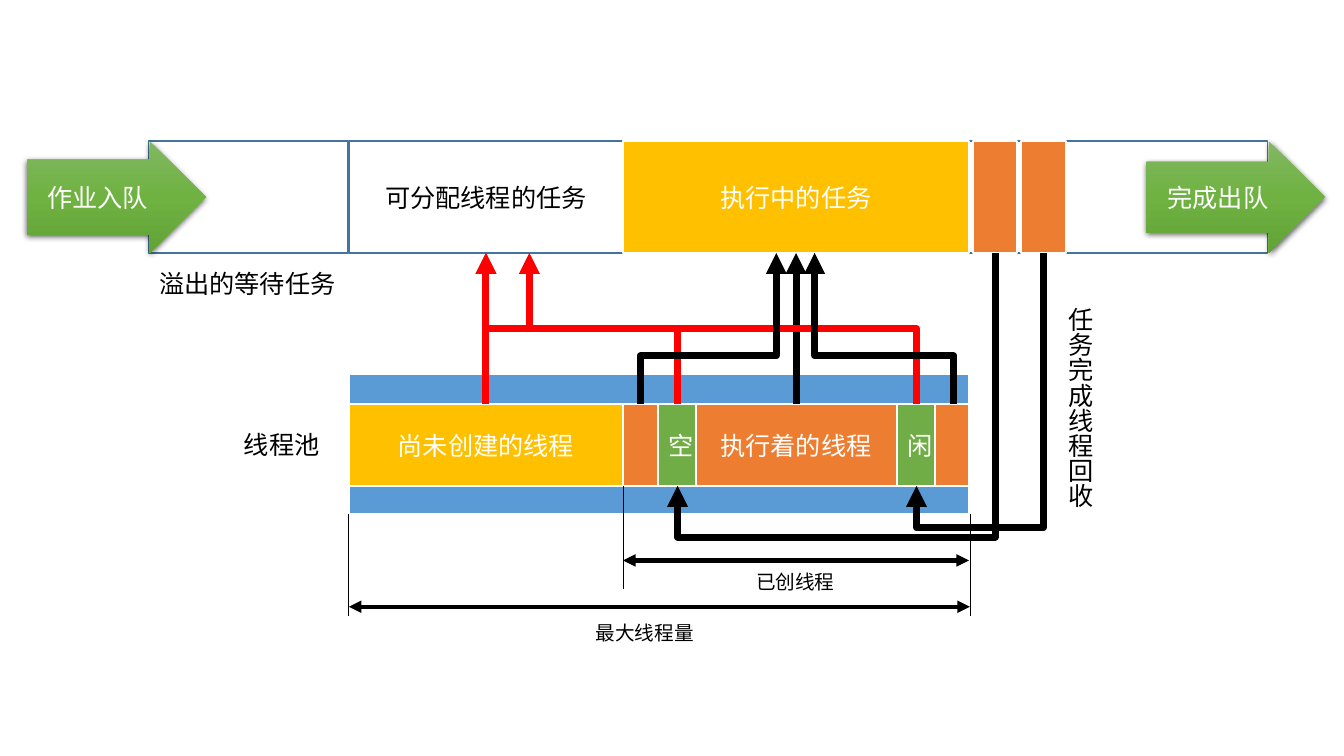
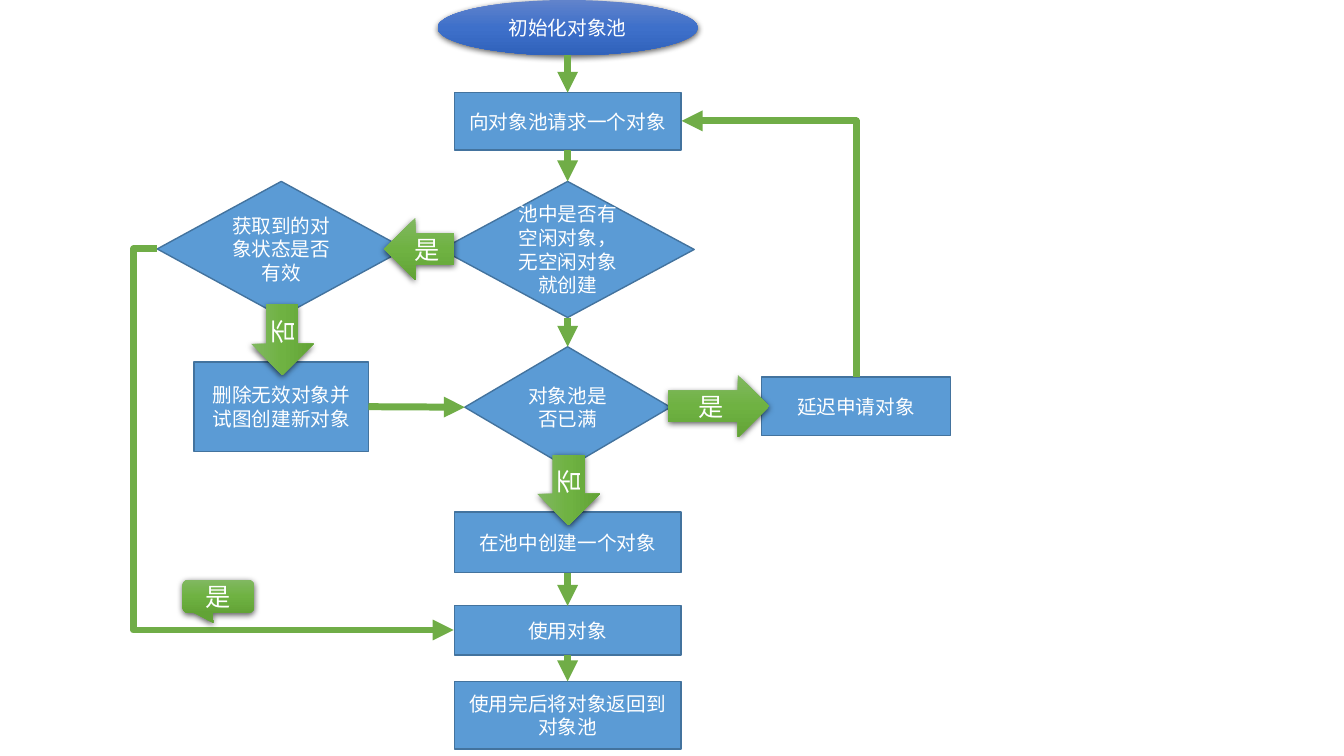
"""Build two slides: a thread pool diagram and an object pool flowchart."""
from copy import deepcopy

from lxml.etree import SubElement
from pptx import Presentation
from pptx.dml.color import RGBColor
from pptx.enum.shapes import MSO_CONNECTOR as LINK, MSO_SHAPE as SHAPE
from pptx.enum.text import MSO_ANCHOR as ANCHOR, MSO_AUTO_SIZE as AUTO, PP_ALIGN as ALIGN
from pptx.oxml.ns import qn
from pptx.util import Inches, Pt

FONT = "Calibri"
WHITE, BLACK, RED = "FFFFFF", "000000", "FF0000"
BLUE, NAVY, GREEN, ORANGE, GOLD = "5B9BD5", "43739E", "70AD47", "ED7D31", "FFC000"
GREEN_FADE = ("81B861", "6FB242", "62A336")
BLUE_FADE = ("6183CB", "3E70CA", "3062BB")
rgb = RGBColor.from_string


def add_box(slide, kind, left, top, width, height, text="", fill=None, line=None,
            line_width=1, color=WHITE, size=18, adjust=(), rotation=0, vertical=False):
    """Add a shape, or a free label when kind is None."""
    place = [Inches(v) for v in (left, top, width, height)]
    if kind is None:
        box = slide.shapes.add_textbox(*place)
        box.text_frame.word_wrap = False
        box.text_frame.auto_size = AUTO.SHAPE_TO_FIT_TEXT
    else:
        box = slide.shapes.add_shape(kind, *place)
        box.shadow.inherit = False
        box.rotation = rotation
        for index, value in enumerate(adjust):
            box.adjustments[index] = value
        box.text_frame.vertical_anchor = ANCHOR.MIDDLE
        box.text_frame.paragraphs[0].alignment = ALIGN.CENTER
        properties = box._element.spPr
        if fill is None:
            box.fill.background()
        elif isinstance(fill, str):
            box.fill.solid()
            box.fill.fore_color.rgb = rgb(fill)
        else:
            box.fill.gradient()
            box.fill.gradient_angle = 270
            stops = properties.find(".//" + qn("a:gsLst"))
            stops.insert(1, deepcopy(stops[0]))
            for stop, shade, position in zip(box.fill.gradient_stops, fill, (0, 0.5, 1)):
                stop.color.rgb = rgb(shade)
                stop.position = position
            shadow = SubElement(properties.find(qn("a:effectLst")), qn("a:outerShdw"),
                                blurRad=str(Pt(4.5)), dist=str(Pt(1.5)), dir="5400000",
                                algn="ctr", rotWithShape="0")
            tint = SubElement(shadow, qn("a:srgbClr"), val=BLACK)
            SubElement(tint, qn("a:alpha"), val="63000")
        if line:
            box.line.color.rgb = rgb(line)
            box.line.width = Pt(line_width)
        else:
            box.line.fill.background()
    if vertical:
        box.text_frame._txBody.bodyPr.set("vert", "eaVert")
    if text:
        run = box.text_frame.paragraphs[0].add_run()
        run.text = text
        run.font.name = FONT
        run.font.size = Pt(size)
        run.font.color.rgb = rgb(color)
    return box


def add_line(slide, start=(0, 0), end=(0, 0), color=BLACK, width=5, ends=("tailEnd",),
             begin_at=None, end_at=None, turn=None, upright=True, corner=False):
    """Add a straight line, or an elbow when turn or corner is given."""
    (x1, y1), (x2, y2) = start, end
    elbow = corner or turn is not None
    rotated = elbow and upright
    if rotated:
        across, down = x2 - x1, y2 - y1
        mid_x, mid_y = (x1 + x2) / 2, (y1 + y2) / 2
        half_w, half_h = abs(down) / 2, abs(across) / 2
        if across * down > 0:
            half_h = -half_h
        x1, y1, x2, y2 = mid_x - half_w, mid_y - half_h, mid_x + half_w, mid_y + half_h
    link = slide.shapes.add_connector(LINK.ELBOW if elbow else LINK.STRAIGHT,
                                      *[Inches(v) for v in (x1, y1, x2, y2)])
    properties = link._element.spPr
    if rotated:
        properties.find(qn("a:xfrm")).set("rot", "5400000" if down > 0 else "16200000")
    geometry = properties.find(qn("a:prstGeom"))
    if corner:
        geometry.set("prst", "bentConnector2")
    elif elbow:
        SubElement(geometry.find(qn("a:avLst")), qn("a:gd"),
                   name="adj1", fmla=f"val {round(turn * 100000)}")
    link.line.color.rgb = rgb(color)
    link.line.width = Pt(width)
    for tip in ends:
        SubElement(properties.find(qn("a:ln")), qn("a:" + tip), type="triangle")
    SubElement(properties, qn("a:effectLst"))
    if begin_at:
        link.begin_connect(*begin_at)
    if end_at:
        link.end_connect(*end_at)


deck = Presentation()
deck.slide_width, deck.slide_height = Inches(13.33), Inches(7.5)
threads, objects = [deck.slides.add_slide(deck.slide_layouts[6]) for _ in range(2)]

QUEUE_TOP, QUEUE_H, QUEUE_BOTTOM = 1.4, 1.11, 2.51
POOL_TOP, POOL_H, POOL_BOTTOM = 4.01, 0.81, 4.82
POOL_LEFT, CREATED_LEFT, POOL_RIGHT = 3.46, 6.18, 9.61
EDGED = dict(line=WHITE, line_width=1.5)

for left, width in ((9.44, 3.13), (1.47, 1.98)):
    add_box(threads, SHAPE.RECTANGLE, left, QUEUE_TOP, width, QUEUE_H, line=NAVY)
add_box(threads, SHAPE.RIGHT_ARROW, 0.27, QUEUE_TOP, 1.77, QUEUE_H, "作业入队",
        fill=GREEN_FADE, adjust=(0.67, 0.5))
assignable = add_box(threads, SHAPE.RECTANGLE, POOL_LEFT, QUEUE_TOP, 2.72, QUEUE_H,
                     "可分配线程的任务", line=NAVY, color=BLACK)
running = add_box(threads, SHAPE.RECTANGLE, CREATED_LEFT, QUEUE_TOP, 3.43, QUEUE_H,
                  "执行中的任务", fill=GOLD, **EDGED)
for left in (9.65, 10.13):
    add_box(threads, SHAPE.RECTANGLE, left, QUEUE_TOP, 0.44, QUEUE_H, fill=ORANGE, **EDGED)
add_box(threads, SHAPE.RIGHT_ARROW, 11.37, QUEUE_TOP, 1.77, QUEUE_H, "完成出队",
        fill=GREEN_FADE, adjust=(0.63, 0.5))

add_box(threads, SHAPE.RECTANGLE, POOL_LEFT, 3.71, 6.15, 1.39, fill=BLUE, **EDGED)
uncreated, working, idle_left, idle_right = [
    add_box(threads, SHAPE.RECTANGLE, left, POOL_TOP, width, POOL_H, text, fill=fill, **EDGED)
    for left, width, text, fill in (
        (POOL_LEFT, 2.72, "尚未创建的线程", GOLD),
        (CREATED_LEFT, 3.43, "执行着的线程", ORANGE),
        (6.53, 0.37, "空", GREEN),
        (8.9, 0.37, "闲", GREEN),
    )]

add_line(threads, color=RED, begin_at=(uncreated, 0), end_at=(assignable, 2))
add_line(threads, begin_at=(working, 0), end_at=(running, 2))
for x1, x2, turn, color in ((6.72, 5.25, 0.5, RED), (9.09, 4.82, 0.5, RED),
                            (6.35, 7.7, 0.32, BLACK), (9.46, 8.08, 0.32, BLACK)):
    add_line(threads, (x1, POOL_TOP), (x2, QUEUE_BOTTOM), color=color, turn=turn)
for x1, x2, turn in ((9.87, 6.72, 1.22), (10.35, 9.09, 1.18)):
    add_line(threads, (x1, QUEUE_BOTTOM), (x2, POOL_BOTTOM), turn=turn)

for x, top, bottom in ((POOL_LEFT, 5.1, 6.11), (9.62, 5.1, 6.11), (CREATED_LEFT, POOL_BOTTOM, 5.84)):
    add_line(threads, (x, top), (x, bottom), width=0.5, ends=())
for x1, x2, y in ((POOL_LEFT, 9.62, 6.02), (CREATED_LEFT, POOL_RIGHT, 5.56)):
    add_line(threads, (x1, y), (x2, y), width=3, ends=("headEnd", "tailEnd"))

for left, top, width, height, text, size in (
        (1.48, 2.61, 1.97, 0.4, "溢出的等待任务", 18),
        (2.32, 4.21, 0.96, 0.4, "线程池", 18),
        (5.81, 6.11, 1.18, 0.34, "最大线程量", 14),
        (7.4, 5.6, 0.99, 0.34, "已创线程", 14)):
    add_box(threads, None, left, top, width, height, text, color=BLACK, size=size)
add_box(threads, None, 10.41, 2.95, 0.5, 2.12, "任务完成线程回收", color=BLACK, vertical=True)

MAIN_X, CHECK_X = 5.63, 2.79
add_box(objects, SHAPE.OVAL, MAIN_X - 1.29, 0, 2.58, 0.55, "初始化对象池", fill=BLUE_FADE, size=14)
request, has_idle, is_valid, rebuild, is_full, create, use, give_back, delay = [
    add_box(objects, kind, center - width / 2, top, width, height, text,
            fill=BLUE, line=NAVY, size=14)
    for kind, center, top, width, height, text in (
        (SHAPE.RECTANGLE, MAIN_X, 0.92, 2.25, 0.57, "向对象池请求一个对象"),
        (SHAPE.DIAMOND, MAIN_X, 1.8, 2.51, 1.35, "池中是否有空闲对象，无空闲对象就创建"),
        (SHAPE.DIAMOND, CHECK_X, 1.8, 2.46, 1.34, "获取到的对象状态是否有效"),
        (SHAPE.RECTANGLE, CHECK_X, 3.59, 1.73, 0.89, "删除无效对象并试图创建新对象"),
        (SHAPE.DIAMOND, MAIN_X, 3.44, 2.04, 1.2, "对象池是否已满"),
        (SHAPE.RECTANGLE, MAIN_X, 5.08, 2.25, 0.6, "在池中创建一个对象"),
        (SHAPE.RECTANGLE, MAIN_X, 6.01, 2.25, 0.49, "使用对象"),
        (SHAPE.RECTANGLE, MAIN_X, 6.76, 2.25, 0.67, "使用完后将对象返回到对象池"),
        (SHAPE.RECTANGLE, 8.49, 3.74, 1.88, 0.58, "延迟申请对象"),
    )]

add_line(objects, (MAIN_X, 0.55), (MAIN_X, 0.92), color=GREEN, end_at=(request, 0))
for upper, lower in ((request, has_idle), (has_idle, is_full), (create, use), (use, give_back)):
    add_line(objects, color=GREEN, begin_at=(upper, 2), end_at=(lower, 0))
add_line(objects, color=GREEN, begin_at=(rebuild, 3), end_at=(is_full, 1))

for kind, left, top, width, text, rotation in (
        (SHAPE.LEFT_ARROW, 3.81, 2.16, 0.7, "是", 0),
        (SHAPE.LEFT_ARROW, 2.45, 3.06, 0.7, "否", 270),
        (SHAPE.LEFT_ARROW, 5.29, 4.55, 0.7, "否", 270),
        (SHAPE.RIGHT_ARROW, 6.63, 3.72, 1, "是", 0)):
    add_box(objects, kind, left, top, width, 0.62, text, fill=GREEN_FADE, rotation=rotation)

add_line(objects, (1.56, 2.47), (4.5, 6.25), color=GREEN, turn=-0.08, upright=False)
add_line(objects, (8.49, 3.74), (6.76, 1.2), color=GREEN, corner=True)
add_box(objects, SHAPE.ROUNDED_RECTANGULAR_CALLOUT, 1.81, 5.75, 0.71, 0.33, "是",
        fill=GREEN_FADE, adjust=(-0.07, 0.8, 0.17))

deck.save("out.pptx")
